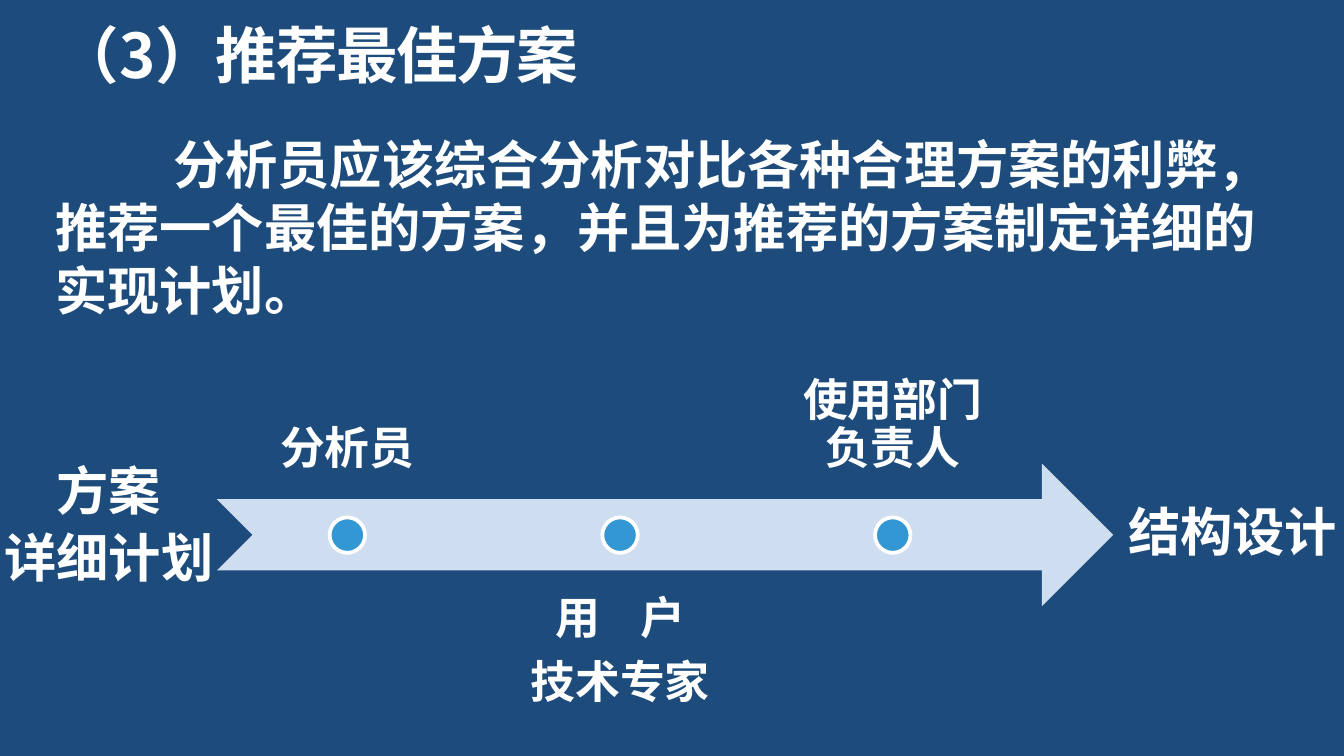
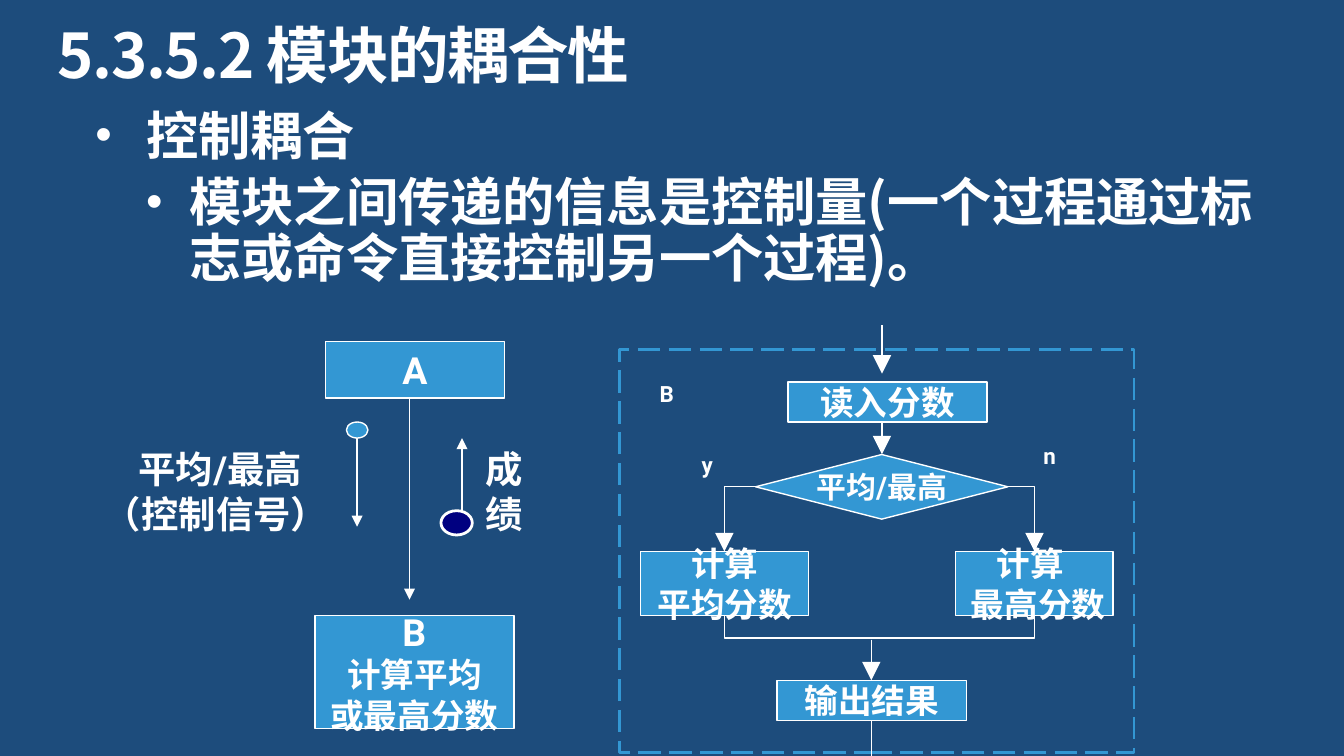
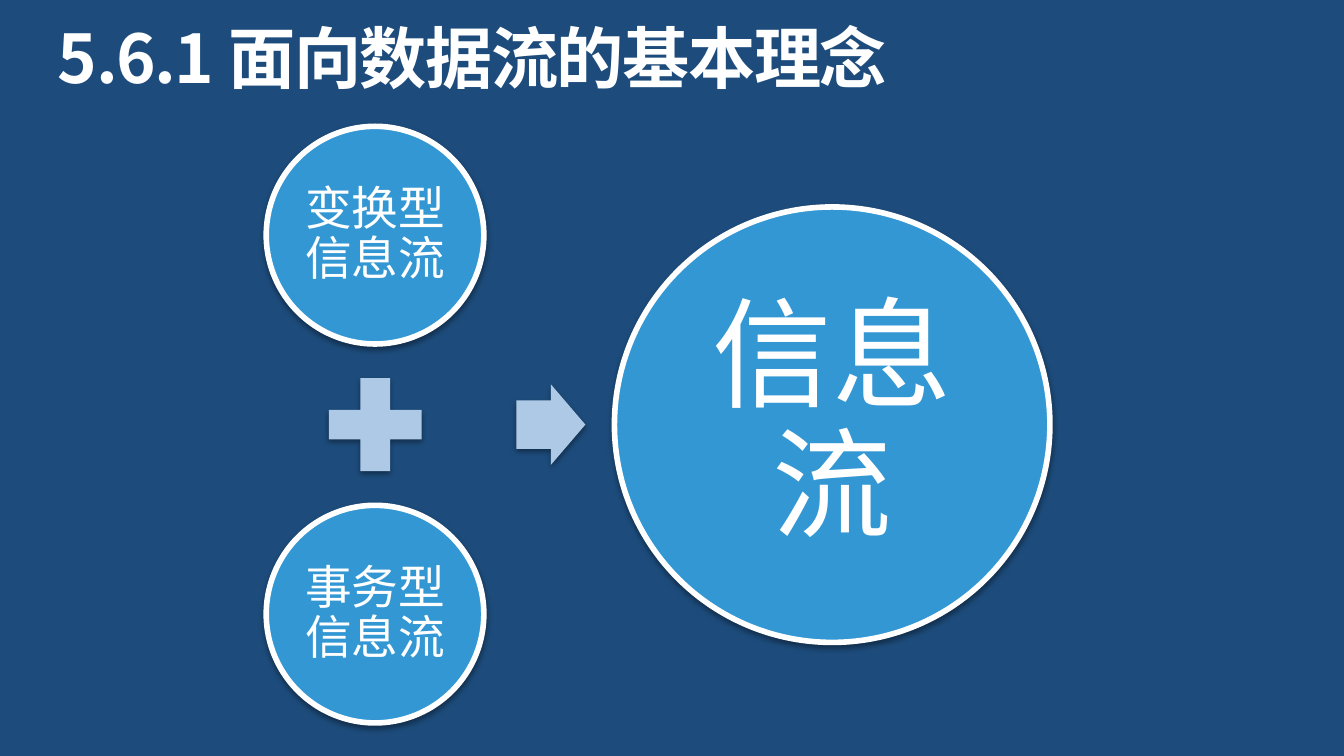
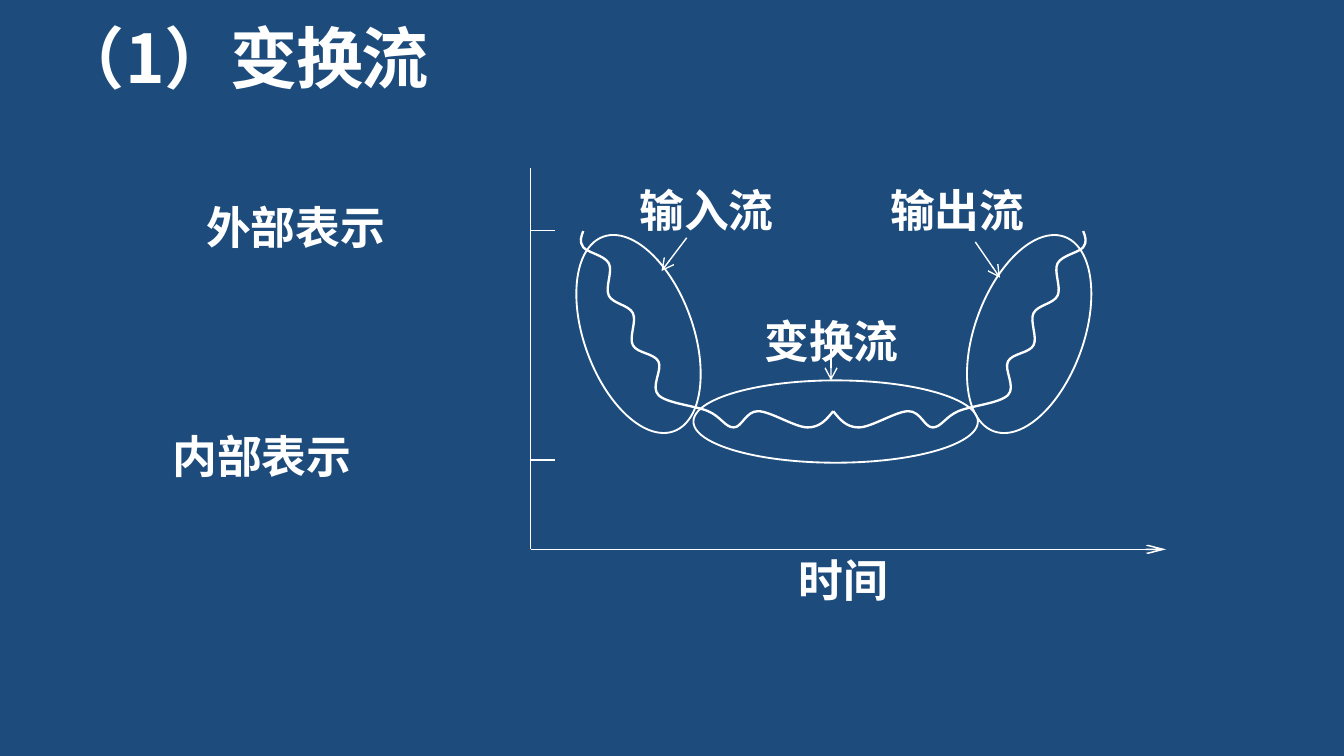
from lxml.etree import SubElement
from pptx import Presentation
from pptx.dml.color import RGBColor
from pptx.enum.dml import MSO_LINE
from pptx.enum.shapes import MSO_CONNECTOR, MSO_SHAPE
from pptx.enum.text import MSO_ANCHOR, MSO_AUTO_SIZE, PP_ALIGN
from pptx.oxml.ns import qn
from pptx.util import Pt

COLORS = {"background": "1D4C7C", "white": "FFFFFF", "blue": "3397D3",
          "navy": "000080", "pale": "CEDDEF", "soft": "AEC9E6", "black": "000000"}
CJK_FONT, LATIN_FONT = "Noto Sans CJK SC", "Roboto"
TITLE_ONLY, TITLE_AND_BODY = 5, 1

# ---------- Content: boxes are (left, top, width, height) in points ----------
TITLES = [("（3）推荐最佳方案", 33), ("5.3.5.2 模块的耦合性", 33),
          ("5.6.1 面向数据流的基本理念", 36), ("（1）变换流", 36)]

# Recommended plan
PLAN_TEXT = "分析员应该综合分析对比各种合理方案的利弊，推荐一个最佳的方案，并且为推荐的方案制定详细的实现计划。"
MILESTONES = [["分析员"], ["用 户", "技术专家"], ["使用部门负责人"]]
USER_GAP = 16  # extra width of the space in 用 户
ARROW_ENDS = [(["方案", "详细计划"], (-5.8, 241.9, 128.2, 82.1)),
              (["结构设计"], (596.2, 264.2, 128.2, 45.4))]

# Control coupling: (text, left margin, hanging indent, line spacing)
COUPLING_BULLETS = [
    ("控制耦合", 27.2, 27.2, 0.8),
    ("模块之间传递的信息是控制量(一个过程通过标志或命令直接控制另一个过程)。", 50.4, 23.2, 0.9),
]
COUPLING_BOXES = [  # paragraphs, font sizes, preset, box
    (["A"], [20], MSO_SHAPE.RECTANGLE, (174.4, 183, 95.8, 30.2)),
    (["B", "计算平均", "或最高分数"], [20, 18, 18], MSO_SHAPE.RECTANGLE, (168.7, 329.8, 106.6, 60.5)),
    (["读入分数"], [18], MSO_SHAPE.RECTANGLE, (422.1, 204.6, 106.6, 21.6)),
    (["平均/最高"], [16], MSO_SHAPE.DIAMOND, (404.8, 243.5, 135.2, 34.6)),
    (["计算", "平均分数"], [18, 18], MSO_SHAPE.RECTANGLE, (343.2, 295.4, 90, 34.4)),
    (["计算 ", " 最高分数"], [18, 18], MSO_SHAPE.RECTANGLE, (511.9, 295.4, 84.4, 34.4)),
    (["输出结果"], [18], MSO_SHAPE.RECTANGLE, (416.2, 364.5, 101.5, 21.4)),
]
COUPLING_LABELS = [
    (["平均/最高", "（控制信号） "], 20, (61.9, 234.9, 112.3, 56.2)),
    (["成", "绩"], 20, (236.2, 247.9, 67.7, 30.2)),
    (["B"], 12, (343.2, 200.2, 28.1, 21.6)),
    (["y"], 12, (368.4, 238.3, 20.9, 21.6)),
    (["n"], 12, (551.5, 233.3, 21.6, 21.6)),
]
CALL_ARROWS = [(219.4, 213.1, 219.4, 321.3), (191.3, 234.7, 191.3, 282.2),
               (247.5, 273.6, 247.5, 234.7)]
SIGNAL_DOTS = [((185.6, 226.1, 11.5, 8.6), "blue", 0.75),
               ((236.2, 273.6, 16.8, 13), "navy", 1.5)]
FLOW_ARROWS = [(472.5, 174.2, 472.5, 200.2), (472.5, 226.1, 472.5, 243.4),
               (466.8, 342.7, 466.8, 364.5), (466.8, 385.9, 466.8, 416.2)]
BRANCH_ARROWS = [(540, 260.8, 554.2, 295.4), (404.8, 260.8, 388.1, 295.4)]
MERGE_LINE = [(388.1, 329.8), (388.1, 341.8), (554.2, 341.8), (554.2, 329.8)]

# Information flow: text, size, inset, left, top, diameter, text side
CIRCLES = [("变换型信息流", 25, 2.2, 142.6, 67.7, 116.6, 82.8),
           ("事务型信息流", 25, 2.2, 142.6, 270.7, 116.6, 82.8),
           ("信息流", 64, 6.5, 329.2, 110.9, 233.3, 164.9)]

# Transform flow
FLOW_LABELS = [
    ("内部表示", PP_ALIGN.LEFT, (91, 229, 192.2, 37.4)),
    ("变换流", PP_ALIGN.CENTER, (377.7, 167.5, 135.4, 35.3)),
    ("输出流", PP_ALIGN.CENTER, (472.1, 97.2, 81.4, 35.3)),
    ("输入流", PP_ALIGN.CENTER, (323.8, 97.2, 109.4, 35.3)),
    ("外部表示", PP_ALIGN.LEFT, (109, 106.2, 174.2, 37.4)),
]
WAVE = [(312.5, 123.8), (312.5, 132.5), (326.2, 141.1), (326.2, 158.4), (339.1, 167.8),
        (339.1, 185), (352.8, 193.7), (352.8, 211.7), (379.4, 220.3), (393.1, 229),
        (406.1, 220.3), (432.7, 229), (446.4, 220.3)]
MIRROR_X = 446.4
FLOW_OVALS = [((371.5, 203.8, 152.4, 44.1), 0), ((286.6, 149.8, 110.9, 58.3), 70),
              ((495.9, 149.8, 110.9, 58.3), 290)]
AXIS_X, AXIS_Y = 284.3, 294.3
TICKS = [123.6, 246.4]
POINTERS = [(367.9, 127.4, 354.4, 145.2), (445.2, 185, 445.2, 203.8),
            (522.5, 129.6, 535.7, 148.8)]


# ---------- Helpers ----------
def color(name):
    return RGBColor.from_string(COLORS[name])


def points(values):
    return [Pt(value) for value in values]


def add_run(paragraph, text, size, font=CJK_FONT, bold=True, tracking=0):
    run = paragraph.add_run()
    run.text = text
    run.font.name, run.font.size, run.font.bold = font, Pt(size), bold
    run.font.color.rgb = color("white")
    SubElement(run.font._element, qn("a:ea"), typeface=CJK_FONT)
    if tracking:
        run.font._element.set("spc", str(round(tracking * 100)))


def write(shape, texts, sizes, font=CJK_FONT, bold=True, align=PP_ALIGN.CENTER,
          anchor=MSO_ANCHOR.TOP, inset=(7.2, 3.6), wrap=True, grow=False,
          spacing=None, before=0, after=0, tracking=0, gap=0):
    """Fill a shape with one paragraph per text; gap widens each space."""
    frame = shape.text_frame
    frame.word_wrap = wrap
    frame.vertical_anchor = anchor
    frame.auto_size = MSO_AUTO_SIZE.SHAPE_TO_FIT_TEXT if grow else MSO_AUTO_SIZE.NONE
    frame.margin_left = frame.margin_right = Pt(inset[0])
    frame.margin_top = frame.margin_bottom = Pt(inset[1])
    for index, (text, size) in enumerate(zip(texts, sizes)):
        paragraph = frame.add_paragraph() if index else frame.paragraphs[0]
        paragraph.alignment = align
        paragraph.space_before = Pt(before if index else 0)
        paragraph.space_after = Pt(after)
        if spacing:
            paragraph.line_spacing = spacing
        for part in text.partition(" ") if gap else [text]:
            if part:
                add_run(paragraph, part, size, font, bold, gap if part == " " else tracking)
    return frame


def add_label(slide, box, texts, sizes, **style):
    return write(slide.shapes.add_textbox(*points(box)), texts, sizes, **style)


def paint(shape, fill=None, line=None, width=0.75):
    shape.shadow.inherit = False
    if fill:
        shape.fill.solid()
        shape.fill.fore_color.rgb = color(fill)
    else:
        shape.fill.background()
    if line:
        shape.line.color.rgb = color(line)
        shape.line.width = Pt(width)
    else:
        shape.line.fill.background()
    return shape


def add_shape(slide, preset, box, fill=None, line=None, width=0.75):
    return paint(slide.shapes.add_shape(preset, *points(box)), fill, line, width)


def add_line(slide, ends, head=None, head_width="med", head_length="med", bent=False):
    kind = MSO_CONNECTOR.ELBOW if bent else MSO_CONNECTOR.STRAIGHT
    connector = slide.shapes.add_connector(kind, *points(ends))
    connector.line.color.rgb = color("white")
    connector.line.width = Pt(0.75)
    properties = connector.element.spPr
    if bent:  # one corner only
        properties.find(qn("a:prstGeom")).set("prst", "bentConnector2")
    if head:
        SubElement(properties.find(qn("a:ln")), qn("a:tailEnd"),
                   type=head, w=head_width, len=head_length)
    SubElement(properties, qn("a:effectLst"))


def add_outline(slide, vertices, width):
    corners = [tuple(points(vertex)) for vertex in vertices]
    builder = slide.shapes.build_freeform(*corners[0])
    builder.add_line_segments(corners[1:], close=False)
    return paint(builder.convert_to_shape(), None, "white", width)


def curve_controls(anchors):
    """Two control points for each segment of a smooth curve through the anchors."""
    def blend(first, second, weight):
        return tuple(a + (b - a) * weight for a, b in zip(first, second))

    def shift(anchor, start, end, share):
        return tuple(a + (e - s) * share for a, s, e in zip(anchor, start, end))

    controls = []
    last = len(anchors) - 2
    for index in range(last + 1):
        start, end = anchors[index], anchors[index + 1]
        first = shift(start, anchors[index - 1], end, 1 / 6) if index else None
        second = shift(end, start, anchors[index + 2], -1 / 6) if index < last else None
        controls.append((first or blend(start, second, 0.5),
                         second or blend(first, end, 0.5)))
    return controls


def add_curve(slide, anchors, width):
    """Turn the straight segments of an outline into cubic ones."""
    shape = add_outline(slide, anchors, width)
    segments = list(shape.element.iter(qn("a:lnTo")))
    for segment, controls in zip(segments, curve_controls(anchors)):
        segment.tag = qn("a:cubicBezTo")
        for position, (x, y) in enumerate(controls):
            point = SubElement(segment, qn("a:pt"), x=str(Pt(x) - shape.left),
                               y=str(Pt(y) - shape.top))
            segment.insert(position, point)


def add_soft_shadow(shape):
    effects = shape.element.spPr.find(qn("a:effectLst"))
    shadow = SubElement(effects, qn("a:outerShdw"), blurRad=str(Pt(3.1)), dist=str(Pt(1.6)),
                        dir="5400000", rotWithShape="0")
    tint = SubElement(shadow, qn("a:srgbClr"), val=COLORS["black"])
    SubElement(tint, qn("a:alpha"), val="38000")


def place(shape, box):
    shape.left, shape.top, shape.width, shape.height = points(box)


def add_titled_slide(presentation, title, size, layout=TITLE_ONLY):
    slide = presentation.slides.add_slide(presentation.slide_layouts[layout])
    place(slide.shapes.title, (31, 13.7, 659, size * 1.1))
    write(slide.shapes.title, [title], [size], align=PP_ALIGN.LEFT,
          inset=(0, 0), grow=True, spacing=0.9, tracking=-0.8)
    return slide


# ---------- Slides ----------
def build_plan(slide):
    frame = add_label(slide, (22.6, 67.5, 680.4, 108.7), [PLAN_TEXT], [28],
                      align=PP_ALIGN.LEFT, grow=True)
    frame.paragraphs[0]._p.get_or_add_pPr().set("indent", str(Pt(63.2)))
    # Process arrow with labels alternating above and below
    add_shape(slide, MSO_SHAPE.NOTCHED_RIGHT_ARROW, (116.2, 248.4, 480.2, 76.3), "pale")
    for index, texts in enumerate(MILESTONES):
        shift, below = 146.1 * index, index % 2
        add_label(slide, (116.6 + shift, 305.3 if below else 191.5, 139, 76.3),
                  texts, [24] * len(texts), inset=(13.7, 13.7), spacing=0.9, after=8.4,
                  anchor=MSO_ANCHOR.TOP if below else MSO_ANCHOR.BOTTOM, gap=USER_GAP)
        add_shape(slide, MSO_SHAPE.OVAL, (176.6 + shift, 277.2, 19, 19), "blue", "white", 2)
    for texts, box in ARROW_ENDS:
        add_label(slide, box, texts, [28] * len(texts), inset=(7.2, 7.2), wrap=False,
                  grow=True, spacing=0.9, before=5.6)


def build_coupling(slide):
    body = slide.placeholders[1]
    place(body, (51.1, 61.9, 624.2, 95))
    frame = write(body, [item[0] for item in COUPLING_BULLETS], [28, 28],
                  align=PP_ALIGN.LEFT, inset=(0, 0), grow=True, before=5.6)
    for level, (text, margin, hanging, spacing) in enumerate(COUPLING_BULLETS):
        paragraph = frame.paragraphs[level]
        paragraph.level, paragraph.line_spacing = level, spacing
        properties = paragraph._p.get_or_add_pPr()
        properties.set("marL", str(Pt(margin)))
        properties.set("indent", str(Pt(-hanging)))
        SubElement(properties, qn("a:buSzPct"), val="90000")
        SubElement(properties, qn("a:buChar"), char="•")
    # Dashed frame of module B, then boxes and lines
    module_frame = add_shape(slide, MSO_SHAPE.RECTANGLE, (331.9, 187.2, 275.6, 216),
                             None, "blue", 1.5)
    module_frame.line.dash_style = MSO_LINE.LONG_DASH
    for texts, sizes, preset, box in COUPLING_BOXES:
        write(add_shape(slide, preset, box, "blue", "white"), texts, sizes,
              font=LATIN_FONT, anchor=MSO_ANCHOR.MIDDLE, wrap=False)
    for ends in CALL_ARROWS:
        add_line(slide, ends, "triangle")
    for box, fill, width in SIGNAL_DOTS:
        add_shape(slide, MSO_SHAPE.OVAL, box, fill, "white", width)
    for ends in FLOW_ARROWS:
        add_line(slide, ends, "triangle", "lg", "lg")
    for ends in BRANCH_ARROWS:
        add_line(slide, ends, "triangle", "lg", "lg", bent=True)
    add_outline(slide, MERGE_LINE, 0.75)
    for texts, size, box in COUPLING_LABELS:
        add_label(slide, box, texts, [size] * len(texts), font=LATIN_FONT,
                  anchor=MSO_ANCHOR.MIDDLE, wrap=False)


def build_information_flow(slide):
    for text, size, inset, left, top, diameter, side in CIRCLES:
        add_soft_shadow(add_shape(slide, MSO_SHAPE.OVAL, (left, top, diameter, diameter),
                                  "blue", "white", 3))
        margin = (diameter - side) / 2
        add_label(slide, (left + margin, top + margin, side, side), [text], [size],
                  bold=False, anchor=MSO_ANCHOR.MIDDLE, inset=(inset, inset),
                  spacing=0.9, after=size * 0.35)
    # Plus sign and result arrow
    add_soft_shadow(add_shape(slide, MSO_SHAPE.MATH_PLUS, (167.2, 193.7, 67.7, 67.7), "soft"))
    arrow = add_shape(slide, MSO_SHAPE.RIGHT_ARROW, (276.6, 205.9, 37, 43.2), "soft")
    arrow.adjustments[0], arrow.adjustments[1] = 0.6, 0.5
    add_soft_shadow(arrow)


def build_transform_flow(slide):
    for text, align, box in FLOW_LABELS:
        add_label(slide, box, [text], [24], align=align, inset=(1.4, 0.7))
    # Wave and its mirror half
    add_curve(slide, WAVE, 1.25)
    add_curve(slide, [(2 * MIRROR_X - x, y) for x, y in WAVE], 1.25)
    for box, rotation in FLOW_OVALS:
        add_shape(slide, MSO_SHAPE.OVAL, box, None, "white", 1).rotation = rotation
    # Axes, ticks and pointers
    add_line(slide, (AXIS_X, 90, AXIS_X, AXIS_Y))
    for y in TICKS:
        add_line(slide, (AXIS_X, y, AXIS_X + 13, y))
    add_line(slide, (AXIS_X, AXIS_Y, 624.7, AXIS_Y), "arrow", "sm", "lg")
    add_label(slide, (404.6, 292.3, 94.3, 26.6), ["时间"], [24])
    for ends in POINTERS:
        add_line(slide, ends, "arrow")


def main():
    presentation = Presentation()
    presentation.slide_width, presentation.slide_height = Pt(720), Pt(405)
    background = presentation.slide_master.background.fill
    background.solid()
    background.fore_color.rgb = color("background")
    builders = [build_plan, build_coupling, build_information_flow, build_transform_flow]
    for (title, size), build in zip(TITLES, builders):
        layout = TITLE_AND_BODY if build is build_coupling else TITLE_ONLY
        build(add_titled_slide(presentation, title, size, layout))
    presentation.save("out.pptx")


if __name__ == "__main__":
    main()
